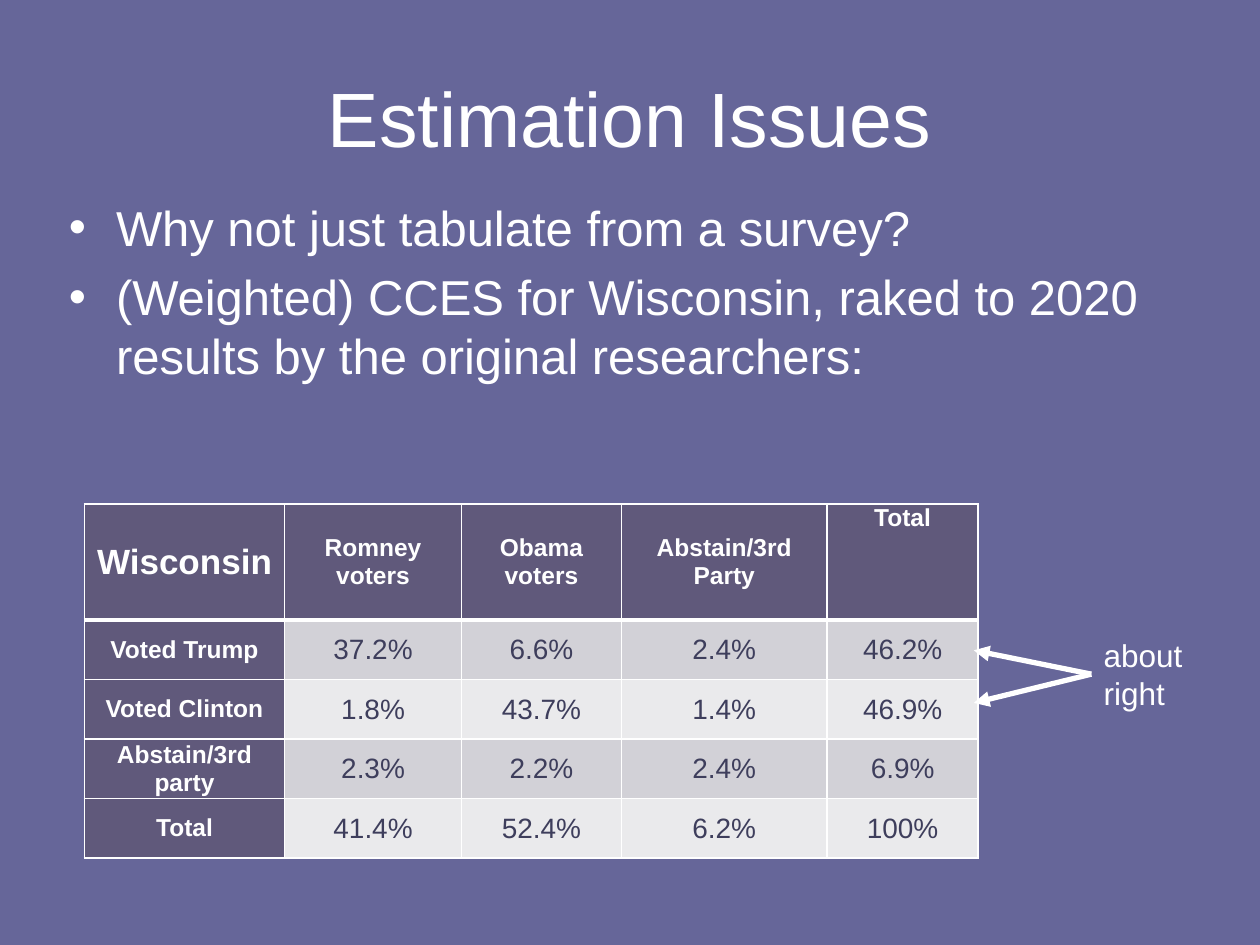
from dataclasses import dataclass

from lxml import etree
from pptx import Presentation
from pptx.dml.color import RGBColor
from pptx.enum.shapes import MSO_CONNECTOR
from pptx.enum.text import MSO_ANCHOR, PP_ALIGN
from pptx.oxml.ns import qn
from pptx.util import Cm, Pt

CENTER = PP_ALIGN.CENTER
LEFT = PP_ALIGN.LEFT
TOP = MSO_ANCHOR.TOP
MIDDLE = MSO_ANCHOR.MIDDLE
STRAIGHT = MSO_CONNECTOR.STRAIGHT

FONT = "Arial"
BACKGROUND = "666699"
WHITE = "FFFFFF"
HEADER_FILL = "60597B"
BAND_FILLS = ("D2D1D7", "EAEAEC")
VALUE_COLOR = "3E3E5C"

COLUMN_WIDTHS = (4.04, 3.56, 3.23, 4.14, 3.05)
HEADER_HEIGHT = 2.34
ROW_HEIGHT = 1.2
VOTES = (
    ("Wisconsin", "Romney voters", "Obama voters", "Abstain/3rd Party", "Total"),
    ("Voted Trump", "37.2%", "6.6%", "2.4%", "46.2%"),
    ("Voted Clinton", "1.8%", "43.7%", "1.4%", "46.9%"),
    ("Abstain/3rd party", "2.3%", "2.2%", "2.4%", "6.9%"),
    ("Total", "41.4%", "52.4%", "6.2%", "100%"),
)


@dataclass
class TextBlock:
    """A text box; lengths are in centimetres, the size in points."""
    lines: tuple[str, ...]
    left: float
    top: float
    width: float
    height: float
    size: int
    alignment: PP_ALIGN = LEFT
    anchor: MSO_ANCHOR = TOP
    bulleted: bool = False
    wrap: bool = True


@dataclass
class CellStyle:
    fill: str
    color: str
    size: int
    bold: bool
    anchor: MSO_ANCHOR = MIDDLE


TITLE = TextBlock(("Estimation Issues",), 1.27, 0.76, 22.86, 3.18, 44, CENTER, MIDDLE)
BODY = TextBlock(
    (
        "Why not just tabulate from a survey?",
        "(Weighted) CCES for Wisconsin, raked to 2020 results by the original researchers:",
    ),
    1.14, 3.86, 22.86, 14.4, 28, bulleted=True,
)
REMARK = TextBlock(("about", "right"), 22, 12.7, 2.11, 1.8, 18, wrap=False)
ARROW_START = (22, 13.59)
ARROW_TIPS = ((19.63, 13.11), (19.63, 14.17))


def rgb(value: str) -> RGBColor:
    return RGBColor.from_string(value)


def format_runs(paragraph, size: int, color: str, bold: bool = False) -> None:
    for run in paragraph.runs:
        run.font.name = FONT
        run.font.size = Pt(size)
        run.font.bold = bold
        run.font.color.rgb = rgb(color)


def add_bullet(paragraph) -> None:
    paragraph.space_before = Pt(6)
    properties = paragraph._p.get_or_add_pPr()
    properties.set("marL", str(Cm(0.95)))
    properties.set("indent", str(-Cm(0.95)))
    etree.SubElement(properties, qn("a:buFont"), typeface=FONT)
    etree.SubElement(properties, qn("a:buChar"), char="•")


def add_text(slide, block: TextBlock) -> None:
    shape = slide.shapes.add_textbox(
        Cm(block.left), Cm(block.top), Cm(block.width), Cm(block.height))
    text_frame = shape.text_frame
    text_frame.word_wrap = block.wrap
    text_frame.vertical_anchor = block.anchor
    text_frame.text = "\n".join(block.lines)
    for paragraph in text_frame.paragraphs:
        paragraph.alignment = block.alignment
        format_runs(paragraph, block.size, WHITE)
        if block.bulleted:
            add_bullet(paragraph)


def cell_style(row: int, column: int) -> CellStyle:
    if row and column:
        return CellStyle(BAND_FILLS[(row - 1) % 2], VALUE_COLOR, 16, False)
    size = 20 if row == column else 14
    is_total_heading = row == 0 and column == len(COLUMN_WIDTHS) - 1
    return CellStyle(HEADER_FILL, WHITE, size, True, TOP if is_total_heading else MIDDLE)


def add_border(cell, side: str, width: float) -> None:
    line = etree.SubElement(
        cell._tc.get_or_add_tcPr(), qn(f"a:ln{side}"), w=str(Pt(width)))
    fill = etree.SubElement(line, qn("a:solidFill"))
    etree.SubElement(fill, qn("a:srgbClr"), val=WHITE)


def format_cell(cell, row: int, column: int) -> None:
    style = cell_style(row, column)
    # Borders come before the fill in the cell properties
    for side in "LRTB":
        is_header_rule = (row, side) in ((0, "B"), (1, "T"))
        add_border(cell, side, 3 if is_header_rule else 1)
    cell.fill.solid()
    cell.fill.fore_color.rgb = rgb(style.fill)
    cell.vertical_anchor = style.anchor
    cell.margin_left = cell.margin_right = Cm(0.18)
    cell.margin_top = cell.margin_bottom = 0
    paragraph = cell.text_frame.paragraphs[0]
    paragraph.alignment = CENTER
    format_runs(paragraph, style.size, style.color, style.bold)


def add_vote_table(slide) -> None:
    heights = [HEADER_HEIGHT] + [ROW_HEIGHT] * (len(VOTES) - 1)
    table = slide.shapes.add_table(
        len(VOTES), len(COLUMN_WIDTHS), Cm(1.7), Cm(10.16),
        Cm(sum(COLUMN_WIDTHS)), Cm(sum(heights))).table
    for column, width in zip(table.columns, COLUMN_WIDTHS):
        column.width = Cm(width)
    for row, height in zip(table.rows, heights):
        row.height = Cm(height)
    for row_index, values in enumerate(VOTES):
        for column_index, value in enumerate(values):
            cell = table.cell(row_index, column_index)
            cell.text_frame.text = value
            format_cell(cell, row_index, column_index)


def add_arrow(slide, start: tuple[float, float], tip: tuple[float, float]) -> None:
    points = [Cm(value) for value in (*start, *tip)]
    connector = slide.shapes.add_connector(STRAIGHT, *points)
    connector.line.color.rgb = rgb(WHITE)
    connector.line.width = Pt(3)
    etree.SubElement(connector.line._get_or_add_ln(), qn("a:tailEnd"), type="triangle")
    etree.SubElement(connector._element.spPr, qn("a:effectLst"))


def main() -> None:
    presentation = Presentation()
    presentation.slide_width = Cm(25.4)
    presentation.slide_height = Cm(19.05)
    slide = presentation.slides.add_slide(presentation.slide_layouts[6])
    slide.background.fill.solid()
    slide.background.fill.fore_color.rgb = rgb(BACKGROUND)

    # Heading and bullets
    add_text(slide, TITLE)
    add_text(slide, BODY)

    # Survey results
    add_vote_table(slide)

    # Remark on the two vote totals
    add_text(slide, REMARK)
    for tip in ARROW_TIPS:
        add_arrow(slide, ARROW_START, tip)

    presentation.save("out.pptx")


if __name__ == "__main__":
    main()
